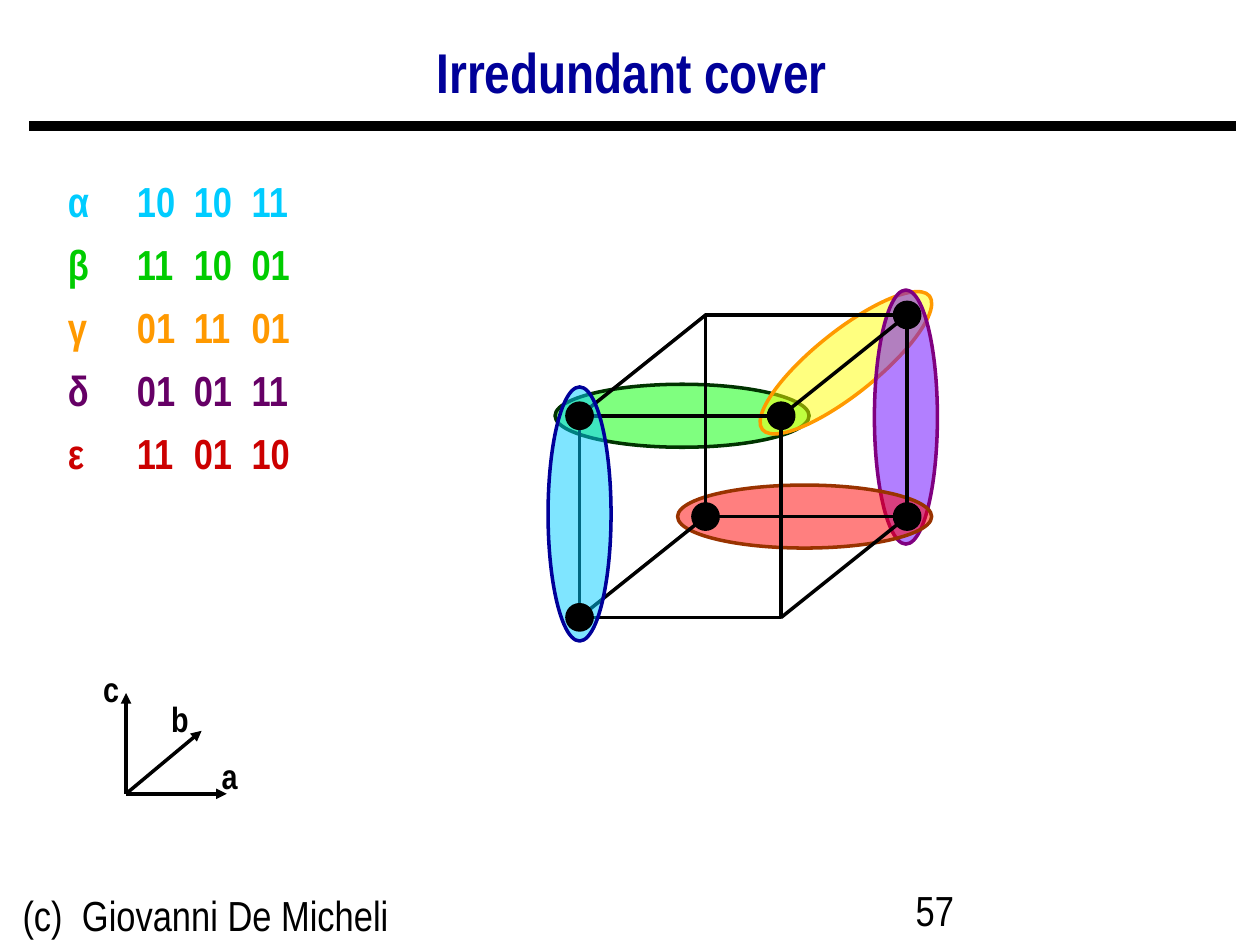
from math import atan2, degrees, hypot

from lxml.etree import SubElement
from pptx import Presentation
from pptx.dml.color import RGBColor
from pptx.enum.shapes import MSO_CONNECTOR, MSO_SHAPE
from pptx.enum.text import MSO_ANCHOR, PP_ALIGN
from pptx.oxml.ns import qn
from pptx.util import Pt


class Theme:
    font = "Arial Narrow"
    ink = "000000"
    title = "000099"
    title_size, body_size, axis_size = 32, 24, 20
    stroke, rule = 2, 6


# Symbol, cube, text colour, fill, outline, end corners (a, b, c), nudge
COVER = [
    ("α", "10 10 11", "00CCFF", "00CCFF", "000099", (0, 0, 0), (0, 0, 1), (0, -1.5)),
    ("β", "11 10 01", "00CC00", "00FF00", "003300", (0, 0, 1), (1, 0, 1), (1, 0)),
    ("γ", "01 11 01", "FF9900", "FFFF00", "FF9900", (1, 0, 1), (1, 1, 1), (1, -1.5)),
    ("δ", "01 01 11", "660066", "6600FF", "800080", (1, 1, 0), (1, 1, 1), (-0.7, 0.7)),
    ("ε", "11 01 10", "CC0000", "FF0000", "993300", (0, 1, 0), (1, 1, 0), (-1, 0)),
]
EDGE, DEPTH, RISE = 115.2, 72, 57.6

deck = Presentation()
deck.slide_width, deck.slide_height = Pt(720), Pt(540)
slide = deck.slides.add_slide(deck.slide_layouts[6])
shapes = slide.shapes


def write(text, box, size, color=Theme.ink, bold=False, align=PP_ALIGN.LEFT,
          wrap=True, tabs=()):
    frame = shapes.add_textbox(*map(Pt, box)).text_frame
    frame.word_wrap = wrap
    para = frame.paragraphs[0]
    para.text = text
    para.alignment = align
    if tabs:
        stops = SubElement(para._p.get_or_add_pPr(), qn("a:tabLst"))
        for stop in tabs:
            SubElement(stops, qn("a:tab"), pos=str(Pt(stop)), algn="l")
    font = para.font
    font.name, font.size, font.bold = Theme.font, Pt(size), bold
    font.color.rgb = RGBColor.from_string(color)
    return frame


def draw(start, end, width=Theme.stroke, arrow=False):
    line = shapes.add_connector(MSO_CONNECTOR.STRAIGHT, *map(Pt, (*start, *end)))
    line.line.width = Pt(width)
    line.line.color.rgb = RGBColor.from_string(Theme.ink)
    props = line._element.spPr
    if arrow:
        SubElement(props.find(qn("a:ln")), qn("a:tailEnd"), type="triangle")
    SubElement(props, qn("a:effectLst"))


# Frame of the slide
draw((16.6, 72), (706.2, 72), Theme.rule)
write("(c)\tGiovanni De Micheli", (5.8, 504.7, 227.5, 37.4), Theme.body_size, tabs=[34])
write("57", (516.2, 501.8, 167.8, 37.4), Theme.body_size)
title = write("Irredundant cover", (18.7, 15.8, 684.7, 54), Theme.title_size,
              Theme.title, True, PP_ALIGN.CENTER)
title.vertical_anchor = MSO_ANCHOR.MIDDLE
title.paragraphs[0].line_spacing = 0.9

# Corners of the cube on the slide, by (a, b, c)
spots = {
    (a, b, c): (331.2 + a * EDGE + b * DEPTH, 352.8 - b * RISE - c * EDGE)
    for a in (0, 1) for b in (0, 1) for c in (0, 1)
}

# Loops around the covered edges, with the first one in front of the cube
for row in COVER[1:] + COVER[:1]:
    sign, _, _, fill, edge, tail, head, nudge = row
    if sign == "α":
        for b in (0, 1):
            left, top = spots[0, b, 1]
            face = shapes.add_shape(MSO_SHAPE.RECTANGLE, *map(Pt, (left, top, EDGE, EDGE)))
            face.shadow.inherit = False
            face.fill.background()
            face.line.width = Pt(Theme.stroke)
            face.line.color.rgb = RGBColor.from_string(Theme.ink)
        for a, c in ((0, 1), (1, 1), (1, 0), (0, 0)):
            draw(spots[a, 0, c], spots[a, 1, c])
    (x1, y1), (x2, y2) = spots[tail], spots[head]
    long, high = hypot(x2 - x1, y2 - y1) + 30, 36
    left = (x1 + x2 - long) / 2 + nudge[0]
    top = (y1 + y2 - high) / 2 + nudge[1]
    loop = shapes.add_shape(MSO_SHAPE.OVAL, *map(Pt, (left, top, long, high)))
    loop.rotation = degrees(atan2(y2 - y1, x2 - x1))
    loop.shadow.inherit = False
    loop.fill.solid()
    loop.fill.fore_color.rgb = RGBColor.from_string(fill)
    tint = loop._element.spPr.find(qn("a:solidFill")).find(qn("a:srgbClr"))
    SubElement(tint, qn("a:alpha"), val="50000")
    loop.line.width = Pt(Theme.stroke)
    loop.line.color.rgb = RGBColor.from_string(edge)

# Dots on the covered corners
for spot in sorted({end for row in COVER for end in row[5:7]}):
    x, y = spots[spot]
    dot = shapes.add_shape(MSO_SHAPE.OVAL, *map(Pt, (x - 7.2, y - 7.2, 14.4, 14.4)))
    dot.shadow.inherit = False
    dot.fill.solid()
    dot.fill.fore_color.rgb = RGBColor.from_string(Theme.ink)
    dot.line.width = Pt(Theme.stroke)
    dot.line.color.rgb = RGBColor.from_string(Theme.ink)

# Axes
for name, end, left, top in (
    ("a", (129.6, 453.6), 119.5, 427.7),
    ("b", (115.2, 417.6), 90.7, 395.3),
    ("c", (72, 396), 51.8, 378),
):
    draw((72, 453.6), end, arrow=True)
    write(name, (left, top, 23, 31.7), Theme.axis_size, bold=True,
          align=PP_ALIGN.CENTER, wrap=False)

# List of the cover
for i, (sign, cube, color, *_) in enumerate(COVER):
    write("\t".join([sign, *cube.split()]), (31.7, 96.5 + 36 * i, 150, 36),
          Theme.body_size, color, True, tabs=[39.5, 72, 105])

deck.save("out.pptx")
